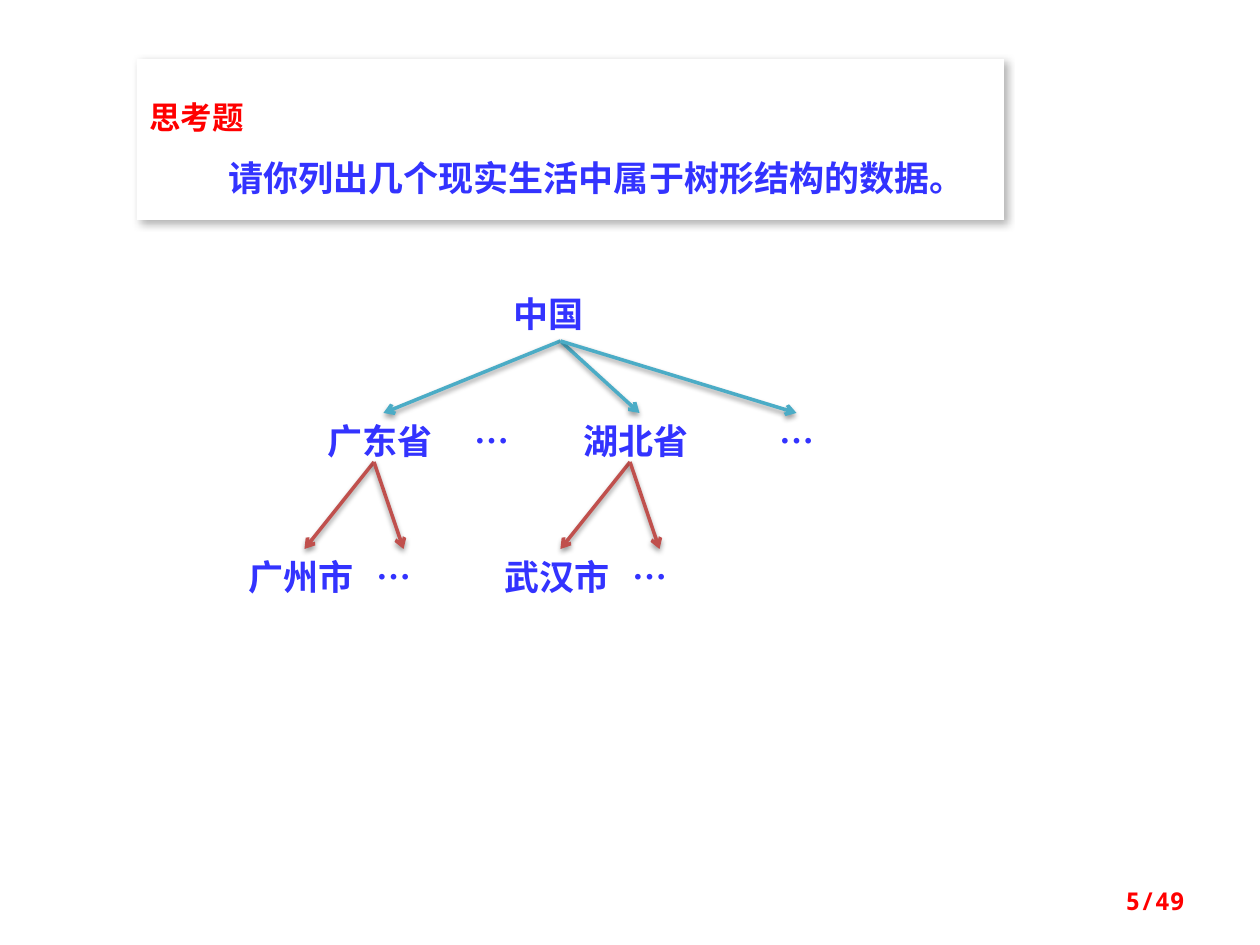
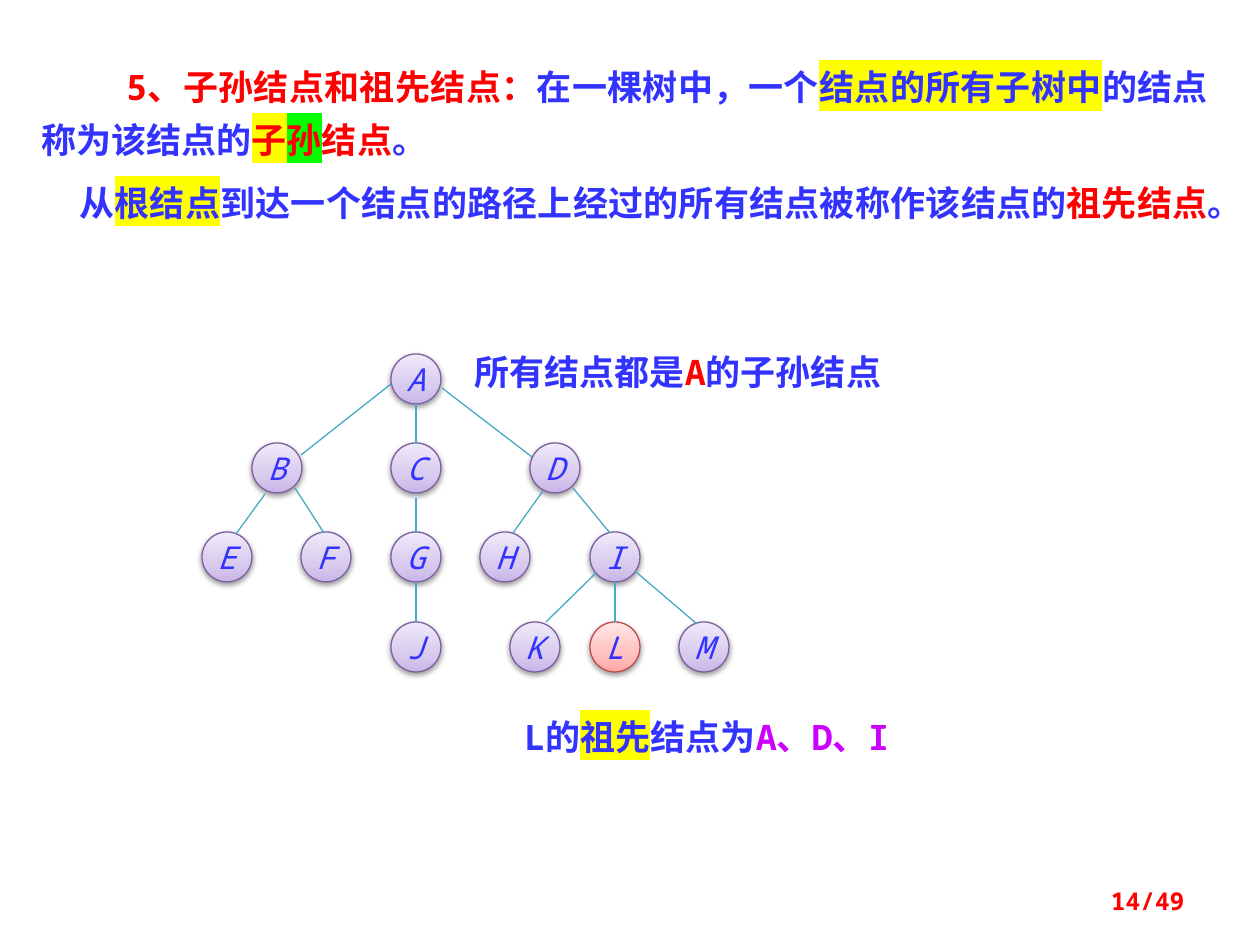
"""Build two slides about tree structures."""
import copy

import lxml.etree
import pptx
import pptx.dml.color
import pptx.enum.dml
import pptx.enum.shapes
import pptx.enum.text
import pptx.oxml.ns
import pptx.util

EMU_PER_PX = 914400 / 126
SANS, MONO = "Noto Sans CJK SC", "Noto Sans Mono"
BLUE, RED, PURPLE = "3333FF", "FF0000", "CC00FF"
YELLOW, GREEN = "FFFF00", "00FF00"
TEAL, BRICK, EDGE = "4BACC6", "C0504D", "46AAC5"
VIOLET_NODE = (("C9B5E8", "D8CBEE", "F0EAF9"), "7D60A0")
RED_NODE = (("FFA6A5", "FFC0BF", "FFE7E7"), "BF4C48")
SOFT_SHADOW = (38, 3.1, 1.6, 90)
CARD_SHADOW = (30, 4.5, 2.6, 53)
ALIGN = pptx.enum.text.PP_ALIGN
ANCHOR = pptx.enum.text.MSO_ANCHOR
SHAPE = pptx.enum.shapes.MSO_SHAPE
NODE_SIZE = 50
PROVINCE_STEP = 256

NODES = [("A", 391, 0), ("B", 252, 1), ("C", 391, 1), ("D", 530, 1),
         ("E", 202, 2), ("F", 301, 2), ("G", 391, 2), ("H", 480, 2),
         ("I", 590, 2), ("J", 391, 3), ("K", 510, 3), ("L", 590, 3),
         ("M", 679, 3)]
EDGES = [(391, 384, 301, 455), (416, 404, 416, 443), (442, 388, 532, 457),
         (265, 494, 236, 534), (295, 488, 324, 533), (416, 498, 416, 533),
         (543, 491, 513, 533), (573, 488, 610, 533), (416, 582, 416, 622),
         (596, 573, 546, 622), (615, 582, 615, 622), (635, 571, 697, 624)]


def px(length):
    """Turn px into EMU."""
    return pptx.util.Emu(round(length * EMU_PER_PX))


def color(value):
    """Turn a hex string into a colour."""
    return pptx.dml.color.RGBColor.from_string(value)


def add_xml(parent, tag, **attributes):
    """Append a drawing element to a parent element."""
    return lxml.etree.SubElement(parent, pptx.oxml.ns.qn(tag), attributes)


def add_shadow(shape, opacity, blur, distance, angle):
    """Give a shape or connector a black outer shadow."""
    effects = add_xml(shape._element.spPr, "a:effectLst")
    outer = add_xml(effects, "a:outerShdw", blurRad=str(pptx.util.Pt(blur)),
                    dist=str(pptx.util.Pt(distance)), dir=str(angle * 60000),
                    algn="ctr", rotWithShape="0")
    black = add_xml(outer, "a:srgbClr", val="000000")
    add_xml(black, "a:alpha", val=str(opacity * 1000))


def add_run(paragraph, text, fill=BLUE, highlight=None, font=MONO, size=20,
            bold=True, italic=False):
    """Append one formatted run."""
    run = paragraph.add_run()
    run.text = text
    run.font.size = pptx.util.Pt(size)
    run.font.bold = bold
    run.font.italic = italic
    run.font.color.rgb = color(fill)
    run.font.name = font
    properties = run.font._element
    add_xml(properties, "a:ea", typeface=SANS)
    if highlight:
        marker = add_xml(properties, "a:highlight")
        add_xml(marker, "a:srgbClr", val=highlight)
        properties.find(pptx.oxml.ns.qn("a:latin")).addprevious(marker)


def indent_first_line(paragraph, indent):
    """Indent the first line of a paragraph."""
    paragraph._p.get_or_add_pPr().set("indent", str(px(indent)))


def add_text(slide, left, top, width, height, runs):
    """Add a wrapped text box with one paragraph of runs."""
    box = slide.shapes.add_textbox(px(left), px(top), px(width), px(height))
    box.text_frame.word_wrap = True
    for run in runs:
        add_run(box.text_frame.paragraphs[0], *run)
    return box


def add_page_number(slide, number):
    """Add the page number at the lower right."""
    box = add_text(slide, 903, 876, 294, 50, [])
    box.text_frame.vertical_anchor = ANCHOR.MIDDLE
    paragraph = box.text_frame.paragraphs[0]
    paragraph.alignment = ALIGN.RIGHT
    add_run(paragraph, f"{number}/49", RED, size=14)


def add_line(slide, start, end, stroke, weight):
    """Add a straight connector without a shadow."""
    line = slide.shapes.add_connector(
        pptx.enum.shapes.MSO_CONNECTOR.STRAIGHT,
        px(start[0]), px(start[1]), px(end[0]), px(end[1]))
    line.line.color.rgb = color(stroke)
    line.line.width = pptx.util.Pt(weight)
    return line


def add_arrow(slide, start, target, stroke):
    """Add a shadowed arrow from a point to the top of a label."""
    arrow = add_line(slide, start, start, stroke, 2)
    arrow.end_connect(target, 0)
    add_xml(arrow.line._get_or_add_ln(), "a:tailEnd", type="arrow")
    add_shadow(arrow, *SOFT_SHADOW)
    return arrow


def add_label(slide, text, left, top, width):
    """Add a label of the place tree."""
    return add_text(slide, left, top, width, 55, [(text, BLUE, None, SANS)])


def add_province(slide, left, province, city):
    """Add a province with its cities and return its label."""
    label = add_label(slide, province, left, 413, 137)
    city_labels = (add_label(slide, city, left - 79, 549, 137),
                   add_label(slide, "…", left + 49, 549, 79))
    for city_label in city_labels:
        add_arrow(slide, (left + 59, 462), city_label, BRICK)
    return label


def add_question(slide):
    """Add the shadowed card with the question."""
    card = slide.shapes.add_shape(SHAPE.RECTANGLE,
                                  px(137), px(59), px(867), px(161))
    card.fill.solid()
    card.fill.fore_color.rgb = color("FFFFFF")
    card.line.fill.background()
    add_shadow(card, *CARD_SHADOW)
    frame = card.text_frame
    frame.word_wrap = True
    frame.vertical_anchor = ANCHOR.TOP
    frame.margin_top = frame.margin_bottom = px(20)
    heading, question = frame.paragraphs[0], frame.add_paragraph()
    for paragraph in (heading, question):
        paragraph.alignment = ALIGN.LEFT
        paragraph.line_spacing = 1.5
    add_run(heading, "思考题", RED, font=SANS, size=18)
    indent_first_line(question, 79)
    add_run(question, "请你列出几个现实生活中属于树形结构的数据。")


def add_node(slide, name, left, level):
    """Add a round tree node with a gradient fill."""
    shades, outline = RED_NODE if name == "L" else VIOLET_NODE
    node = slide.shapes.add_shape(SHAPE.OVAL, px(left),
                                  px(354 + level * 268 // 3),
                                  px(NODE_SIZE), px(NODE_SIZE))
    node.fill.gradient()
    node.fill.gradient_angle = 90
    first_stop = node._element.spPr.xpath(".//a:gs")[0]
    first_stop.addnext(copy.deepcopy(first_stop))
    for stop, shade, position in zip(node.fill.gradient_stops, shades,
                                     (0, 0.35, 1)):
        stop.color.rgb = color(shade)
        stop.position = position
    node.line.color.rgb = color(outline)
    node.line.width = pptx.util.Pt(0.75)
    add_shadow(node, *SOFT_SHADOW)
    node.text_frame.word_wrap = False
    node.text_frame.vertical_anchor = ANCHOR.MIDDLE
    paragraph = node.text_frame.paragraphs[0]
    paragraph.alignment = ALIGN.CENTER
    add_run(paragraph, name, size=18, bold=False, italic=True)


def add_definitions(slide):
    """Add the definitions of descendant and ancestor nodes."""
    box = add_text(slide, 29, 49, 1191, 231, [])
    descendant = [("5、子孙结点和祖先结点：", RED), ("在一棵树中，一个",),
                  ("结点的所有子树中", BLUE, YELLOW), ("的结点称为该结点的",),
                  ("子", RED, YELLOW), ("孙", RED, GREEN), ("结点", RED),
                  ("。",)]
    ancestor = [("从",), ("根结点", BLUE, YELLOW),
                ("到达一个结点的路径上经过的所有结点被称作该结点的",),
                ("祖先结点", RED), ("。",)]
    frame = box.text_frame
    paragraphs = (frame.paragraphs[0], frame.add_paragraph())
    for paragraph, runs, indent in zip(paragraphs, (descendant, ancestor),
                                       (85, 38)):
        paragraph.alignment = ALIGN.JUSTIFY
        paragraph.line_spacing = pptx.util.Pt(30)
        paragraph.space_before = pptx.util.Pt(6)
        indent_first_line(paragraph, indent)
        for run in runs:
            add_run(paragraph, *run)


def build_question_slide(slide):
    """Build the slide with the question and the place tree."""
    add_question(slide)
    country = add_label(slide, "中国", 501, 286, 119)
    guangdong = add_province(slide, 315, "广东省", "广州市")
    add_label(slide, "…", 462, 413, 108)
    hubei = add_province(slide, 315 + PROVINCE_STEP, "湖北省", "武汉市")
    others = add_label(slide, "…", 767, 413, 59)
    for province in (guangdong, hubei, others):
        add_arrow(slide, (561, 341), province, TEAL).begin_connect(country, 2)
    add_page_number(slide, 5)


def build_definition_slide(slide):
    """Build the slide with the definitions and the node tree."""
    add_definitions(slide)
    add_text(slide, 462, 344, 462, 55,
             [("所有结点都是",), ("A", RED), ("的子孙结点",)])
    add_text(slide, 512, 709, 462, 55,
             [("L的",), ("祖先", BLUE, YELLOW), ("结点为",),
              ("A、D、I", PURPLE)])
    for node in NODES:
        add_node(slide, *node)
    for edge in EDGES:
        line = add_line(slide, edge[:2], edge[2:], EDGE, 0.75)
        add_xml(line._element.spPr, "a:effectLst")
    add_page_number(slide, 14)


def main():
    """Build and save the presentation."""
    presentation = pptx.Presentation()
    presentation.slide_width = px(1260)
    presentation.slide_height = px(945)
    blank = presentation.slide_layouts[6]
    for build in (build_question_slide, build_definition_slide):
        build(presentation.slides.add_slide(blank))
    presentation.save("out.pptx")


if __name__ == "__main__":
    main()
